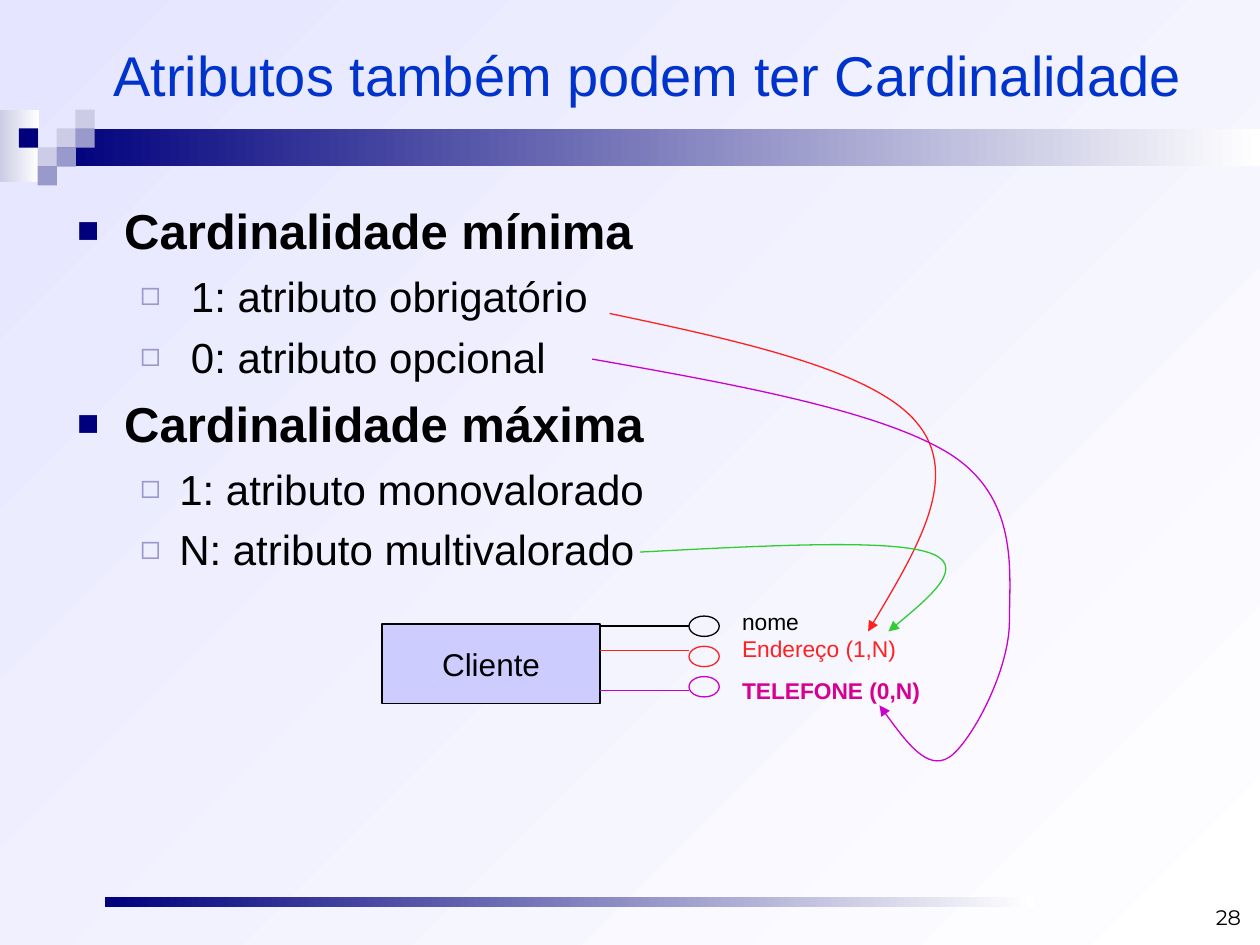
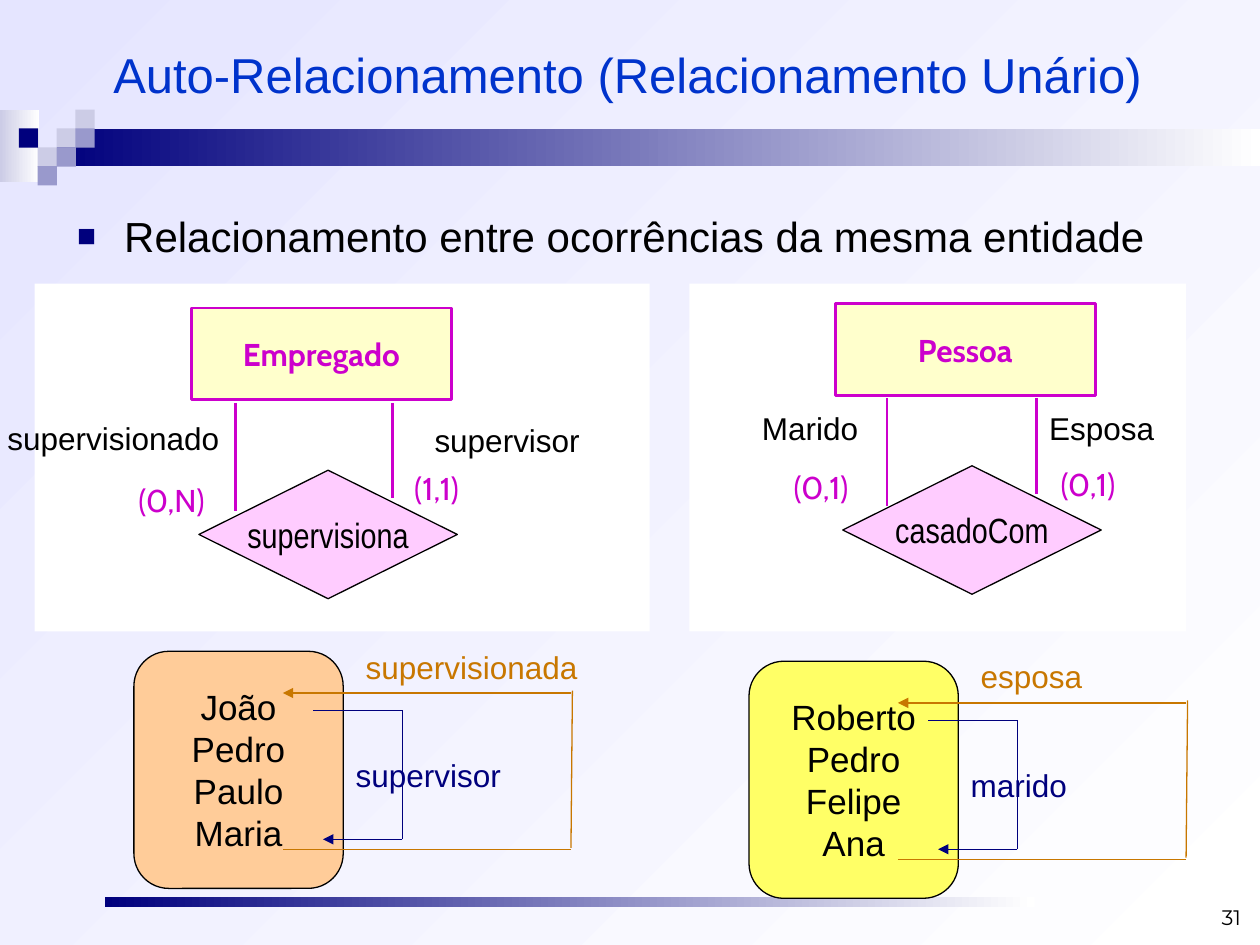
from dataclasses import dataclass
from typing import NamedTuple

from lxml.etree import SubElement
from pptx import Presentation
from pptx.dml.color import RGBColor
from pptx.enum.shapes import MSO_CONNECTOR, MSO_SHAPE
from pptx.enum.text import MSO_ANCHOR, MSO_AUTO_SIZE, PP_ALIGN
from pptx.oxml.ns import qn
from pptx.util import Cm, Pt

# Colours
BLACK = RGBColor(0x00, 0x00, 0x00)
WHITE = RGBColor(0xFF, 0xFF, 0xFF)
NAVY = RGBColor(0x00, 0x00, 0x7D)
TITLE_BLUE = RGBColor(0x00, 0x33, 0xCC)
LAVENDER = RGBColor(0xE5, 0xE5, 0xFF)
PALE_VIOLET = RGBColor(0xCC, 0xCC, 0xE6)
VIOLET = RGBColor(0x99, 0x99, 0xCC)
PERIWINKLE = RGBColor(0xCC, 0xCC, 0xFF)
RED = RGBColor(0xFF, 0x21, 0x21)
MAGENTA = RGBColor(0xCC, 0x00, 0xCC)
PINK = RGBColor(0xD6, 0x00, 0x93)
PALE_PINK = RGBColor(0xFF, 0xCC, 0xFF)
GREEN = RGBColor(0x33, 0xCC, 0x33)
CREAM = RGBColor(0xFF, 0xFF, 0xCC)
PEACH = RGBColor(0xFF, 0xCC, 0x99)
YELLOW = RGBColor(0xFF, 0xFF, 0x66)
OCHRE = RGBColor(0xC8, 0x77, 0x00)

THIN, THICK = 0.75, 1.5
SQUARE = 0.38
OVERLAP = 0.01
BAND_TOP = 2.21


class Box(NamedTuple):
    left: float
    top: float
    width: float
    height: float

    def lengths(self) -> list:
        return [Cm(value) for value in self]


class Point(NamedTuple):
    x: float
    y: float


class TextStyle(NamedTuple):
    size: float
    color: RGBColor = BLACK
    name: str = "Arial"
    bold: bool = False


class Label(NamedTuple):
    text: str
    box: Box
    style: TextStyle


class Bullet(NamedTuple):
    character: str
    color: RGBColor
    percent: int
    left: float
    hanging: float


class Item(NamedTuple):
    text: str
    level: int
    size: int
    before: int
    bold: bool = False


@dataclass
class Relationship:
    """An entity joined to itself through a diamond."""
    entity: str
    name: str
    left: float
    top: float
    first_line: float
    labels: list[Label]


@dataclass
class Occurrences:
    """A list of people with an inner and an outer loop."""
    people: list[str]
    fill: RGBColor
    left: float
    top: float
    inner: str
    inner_width: float
    outer: str
    outer_width: float


BULLETS = [Bullet("■", NAVY, 75, 0.95, 0.95), Bullet("◻", VIOLET, 80, 2.06, 0.79)]
ROLE = TextStyle(18)
CARDINALITY = TextStyle(18, MAGENTA, "Cabin")


# Drawing helpers
def format_text(text_frame, text: str, style: TextStyle, align=PP_ALIGN.LEFT) -> None:
    text_frame.text = text
    for paragraph in text_frame.paragraphs:
        paragraph.alignment = align
        for run in paragraph.runs:
            font = run.font
            font.name, font.size, font.bold = style.name, Pt(style.size), style.bold
            font.color.rgb = style.color


def fill_gradient(fill, end: RGBColor, angle: float) -> None:
    fill.gradient()
    fill.gradient_angle = angle
    for stop, color in zip(fill.gradient_stops, (WHITE, end)):
        stop.color.rgb = color


def set_line(shape, color: RGBColor, width: float, arrow: bool = False) -> None:
    shape.line.color.rgb = color
    shape.line.width = Pt(width)
    if arrow:
        SubElement(shape.line._get_or_add_ln(), qn("a:tailEnd"), type="triangle")


def add_block(slide, kind, box: Box, fill: RGBColor | None = None,
              line: RGBColor | None = None, width: float = THIN):
    shape = slide.shapes.add_shape(kind, *box.lengths())
    shape.shadow.inherit = False
    if fill is None:
        shape.fill.background()
    else:
        shape.fill.solid()
        shape.fill.fore_color.rgb = fill
    if line is None:
        shape.line.fill.background()
    else:
        set_line(shape, line, width)
    return shape


def add_captioned(slide, kind, box: Box, fill: RGBColor, line: RGBColor,
                  width: float, text: str, style: TextStyle) -> None:
    shape = add_block(slide, kind, box, fill, line, width)
    shape.text_frame.word_wrap = False
    shape.text_frame.vertical_anchor = MSO_ANCHOR.MIDDLE
    format_text(shape.text_frame, text, style, PP_ALIGN.CENTER)


def add_label(slide, label: Label):
    text_frame = slide.shapes.add_textbox(*label.box.lengths()).text_frame
    text_frame.word_wrap = False
    text_frame.auto_size = MSO_AUTO_SIZE.SHAPE_TO_FIT_TEXT
    format_text(text_frame, label.text, label.style)
    return text_frame


def add_line(slide, start: Point, end: Point, color: RGBColor,
             width: float = THIN, arrow: bool = False) -> None:
    ends = [Cm(value) for value in (*start, *end)]
    connector = slide.shapes.add_connector(MSO_CONNECTOR.STRAIGHT, *ends)
    set_line(connector, color, width, arrow)
    SubElement(connector._element.spPr, qn("a:effectLst"))


def add_curve(slide, points: list[tuple[float, float]], color: RGBColor) -> None:
    """Draw Bézier arcs: a start, then two control points and an end for each arc."""
    start, *others = [(Cm(x), Cm(y)) for x, y in points]
    builder = slide.shapes.build_freeform(*start)
    builder.add_line_segments(others, close=False)
    shape = builder.convert_to_shape()
    segments = list(shape._element.iter(qn("a:lnTo")))
    outline = segments[0].getparent()
    for index in range(0, len(segments), 3):
        arc = SubElement(outline, qn("a:cubicBezTo"))
        for segment in segments[index:index + 3]:
            arc.append(segment[0])
            outline.remove(segment)
    shape.shadow.inherit = False
    shape.fill.background()
    set_line(shape, color, THIN, arrow=True)


def set_bullet(paragraph, bullet: Bullet) -> None:
    properties = paragraph._p.get_or_add_pPr()
    properties.set("marL", str(Cm(bullet.left)))
    properties.set("indent", str(-Cm(bullet.hanging)))
    color = SubElement(properties, qn("a:buClr"))
    SubElement(color, qn("a:srgbClr"), val=str(bullet.color))
    SubElement(properties, qn("a:buSzPct"), val=str(bullet.percent * 1000))
    SubElement(properties, qn("a:buFont"), typeface="Arial")
    SubElement(properties, qn("a:buChar"), char=bullet.character)


# Shared slide parts
def add_bands(slide) -> None:
    def add_strip(box: Box, color: RGBColor) -> None:
        fill_gradient(add_block(slide, MSO_SHAPE.RECTANGLE, box).fill, color, 180)

    add_strip(Box(0, BAND_TOP, 0.79, 1.47), PALE_VIOLET)
    add_strip(Box(3 * SQUARE + OVERLAP, BAND_TOP + SQUARE + OVERLAP, 24.25, 0.75), NAVY)
    squares = [(3, 1, PALE_VIOLET), (4, 0, PALE_VIOLET), (4, 1, VIOLET), (2, 2, PALE_VIOLET),
               (1, 1, NAVY), (3, 2, VIOLET), (2, 3, VIOLET)]
    for column, row, color in squares:
        box = Box(column * SQUARE, BAND_TOP + row * SQUARE, SQUARE + OVERLAP, SQUARE + OVERLAP)
        add_block(slide, MSO_SHAPE.RECTANGLE, box, color)
    add_strip(Box(2.11, 18.08, 18.75, 0.2), NAVY)


def place(shape, box: Box) -> None:
    shape.left, shape.top, shape.width, shape.height = box.lengths()
    shape.text_frame.auto_size = MSO_AUTO_SIZE.NONE


def add_content_slide(presentation, title: str, title_size: int, body_top: float,
                      items: list[Item], number: int):
    slide = presentation.slides.add_slide(presentation.slide_layouts[1])
    add_bands(slide)
    heading, body = slide.placeholders
    place(heading, Box(2.03, 0.33, 22.86, 2.31))
    heading.text_frame.vertical_anchor = MSO_ANCHOR.MIDDLE
    format_text(heading.text_frame, title, TextStyle(title_size, TITLE_BLUE))

    place(body, Box(1.3, body_top, 22.86, 12.8))
    body.text_frame.text = "\n".join(item.text for item in items)
    for index, (paragraph, item) in enumerate(zip(body.text_frame.paragraphs, items)):
        paragraph.level = item.level
        set_bullet(paragraph, BULLETS[item.level])
        paragraph.space_before = Pt(item.before if index else 0)
        font = paragraph.runs[0].font
        font.name, font.size, font.bold = "Arial", Pt(item.size), item.bold
        font.color.rgb = BLACK

    footer = slide.shapes.add_textbox(*Box(19.35, 17.6, 5.92, 1.27).lengths()).text_frame
    footer.word_wrap = True
    footer.vertical_anchor = MSO_ANCHOR.BOTTOM
    format_text(footer, str(number), TextStyle(12, name="Montserrat"), PP_ALIGN.RIGHT)
    return slide


# Slide with attribute cardinality
def build_attributes(presentation) -> None:
    items = [Item("Cardinalidade mínima", 0, 28, 7, True),
             Item(" 1: atributo obrigatório", 1, 24, 6),
             Item(" 0: atributo opcional", 1, 24, 6),
             Item("Cardinalidade máxima", 0, 28, 7, True),
             Item("1: atributo monovalorado", 1, 24, 6),
             Item("N: atributo multivalorado", 1, 24, 6)]
    slide = add_content_slide(presentation, "Atributos também podem ter Cardinalidade",
                              32, 3.92, items, 28)
    add_captioned(slide, MSO_SHAPE.RECTANGLE, Box(7.7, 12.58, 4.4, 1.6), PERIWINKLE,
                  BLACK, THIN, "Cliente", TextStyle(18))
    for index, (color, line_y) in enumerate([(BLACK, 12.62), (RED, 13.12), (MAGENTA, 13.92)]):
        add_line(slide, Point(12.1, line_y), Point(13.89, line_y), color)
        add_block(slide, MSO_SHAPE.OVAL, Box(13.89, 12.42 + 0.61 * index, 0.61, 0.41), line=color)
    names = add_label(slide, Label("nome\nEndereço (1,N)", Box(14.71, 12.12, 3.7, 1.9),
                                   TextStyle(13)))
    names.paragraphs[1].runs[0].font.color.rgb = RED
    add_label(slide, Label("TELEFONE (0,N)", Box(14.71, 13.52, 4.15, 0.81),
                           TextStyle(13, PINK, bold=True)))
    add_curve(slide, [(12.29, 6.32), (14.96, 6.88), (17.63, 7.47), (18.49, 8.53),
                      (19.38, 9.6), (18.44, 11.15), (17.5, 12.73)], RED)
    add_curve(slide, [(11.94, 7.24), (14.83, 7.75), (17.73, 8.28), (19.13, 9.14),
                      (20.55, 10.03), (20.35, 11.51), (20.35, 12.52),
                      (20.35, 13.54), (19.56, 14.99), (19.13, 15.27),
                      (18.69, 15.54), (18.21, 14.88), (17.73, 14.22)], MAGENTA)
    add_curve(slide, [(12.9, 11.13), (15.39, 11), (17.86, 10.87), (18.69, 11.13),
                      (19.53, 11.38), (18.72, 12.06), (17.91, 12.73)], GREEN)


# Slide with unary relationships
def add_relationship(slide, diagram: Relationship) -> None:
    left, top = diagram.left, diagram.top
    add_captioned(slide, MSO_SHAPE.RECTANGLE, Box(left, top, 5.24, 1.85), CREAM, MAGENTA,
                  THICK, diagram.entity, TextStyle(18, MAGENTA, "Cabin", True))
    for offset, length in ((diagram.first_line, 2.18), (4.05, 1.93)):
        start = Point(left + offset, top + 1.91)
        add_line(slide, start, Point(start.x, start.y + length), MAGENTA, THICK)
    add_captioned(slide, MSO_SHAPE.FLOWCHART_DECISION, Box(left + 0.15, top + 3.27, 5.21, 2.59),
                  PALE_PINK, BLACK, THIN, diagram.name, TextStyle(20, name="Arial Narrow"))
    for label in diagram.labels:
        add_label(slide, label)


def add_occurrences(slide, group: Occurrences) -> None:
    left, top = group.left, group.top
    add_captioned(slide, MSO_SHAPE.ROUNDED_RECTANGLE, Box(left, top, 4.22, 4.78), group.fill,
                  BLACK, THIN, "\n".join(group.people), TextStyle(20))
    loops = [(NAVY, [(3.61, 1.19, 5.41, 1.19), (5.41, 1.19, 5.41, 3.79), (5.41, 3.79, 3.81, 3.79)]),
             (OCHRE, [(3, 4, 8.81, 4), (8.81, 3.96, 8.84, 0.79), (8.81, 0.84, 3, 0.84)])]
    for color, sides in loops:
        for side in sides:
            add_line(slide, Point(left + side[0], top + side[1]),
                     Point(left + side[2], top + side[3]), color, arrow=side is sides[-1])
    add_label(slide, Label(group.inner, Box(left + 4.22, top + 1.98, group.inner_width, 1.02),
                           TextStyle(18, NAVY)))
    add_label(slide, Label(group.outer, Box(left + 4.42, top - 0.2, group.outer_width, 1.02),
                           TextStyle(18, OCHRE)))


def build_unary(presentation) -> None:
    items = [Item("Relacionamento entre ocorrências da mesma entidade", 0, 24, 6)]
    slide = add_content_slide(presentation, "Auto-Relacionamento (Relacionamento Unário)",
                              28, 4.11, items, 31)
    for left, width in ((13.9, 10.01), (0.7, 12.4)):
        add_block(slide, MSO_SHAPE.RECTANGLE, Box(left, 5.72, width, 7.01), WHITE)
    add_relationship(slide, Relationship("Empregado", "supervisiona", 3.86, 6.21, 0.89, [
        Label("(0,N)", Box(2.54, 9.58, 1.95, 1.02), CARDINALITY),
        Label("supervisor", Box(8.51, 8.36, 3.5, 1.02), ROLE),
        Label("(1,1)", Box(8.1, 9.33, 1.8, 1.02), CARDINALITY),
        Label("supervisionado", Box(-0.1, 8.33, 4.85, 1.02), ROLE)]))
    add_occurrences(slide, Occurrences(["João", "Pedro", "Paulo", "Maria"], PEACH, 2.7, 13.13,
                                       "supervisor", 3.5, "supervisionada", 4.85))
    add_relationship(slide, Relationship("Pessoa", "casadoCom", 16.84, 6.12, 1.04, [
        Label("(0,1)", Box(21.13, 9.25, 1.8, 1.02), CARDINALITY),
        Label("(0,1)", Box(15.75, 9.31, 1.8, 1.02), CARDINALITY),
        Label("Esposa", Box(20.9, 8.13, 2.7, 1.02), ROLE),
        Label("Marido", Box(15.11, 8.13, 2.5, 1.02), ROLE)]))
    add_occurrences(slide, Occurrences(["Roberto", "Pedro", "Felipe", "Ana"], YELLOW, 15.1, 13.33,
                                       "marido", 2.5, "esposa", 2.7))


def main() -> None:
    presentation = Presentation()
    presentation.slide_width, presentation.slide_height = Cm(25.4), Cm(19.05)
    fill_gradient(presentation.slide_master.background.fill, LAVENDER, 135)
    build_attributes(presentation)
    build_unary(presentation)
    presentation.save("out.pptx")


if __name__ == "__main__":
    main()
